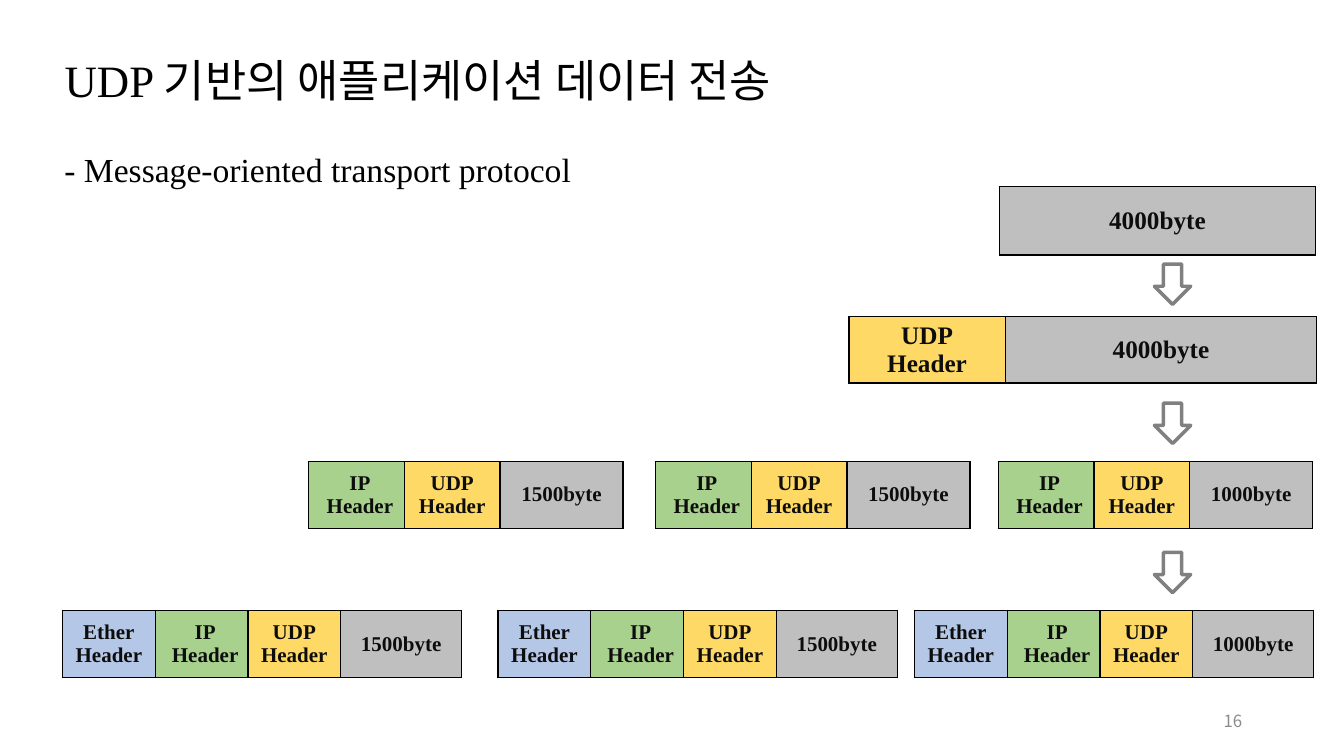
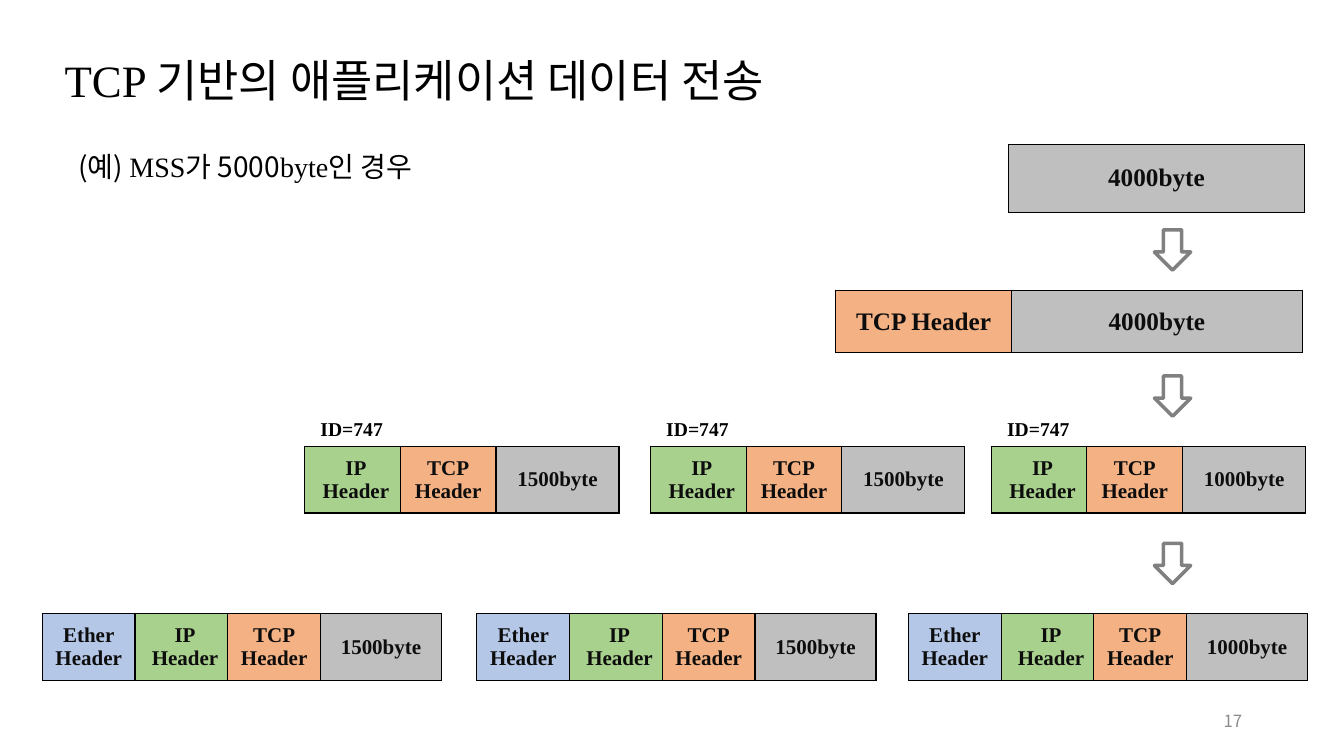
from dataclasses import dataclass
from lxml import etree
from pptx import Presentation
from pptx.dml.color import RGBColor
from pptx.enum.shapes import MSO_SHAPE
from pptx.enum.text import MSO_ANCHOR, MSO_AUTO_SIZE, PP_ALIGN
from pptx.oxml.ns import qn
from pptx.util import Inches, Pt

DOWN_ARROW = MSO_SHAPE.DOWN_ARROW
TOP, MIDDLE = MSO_ANCHOR.TOP, MSO_ANCHOR.MIDDLE
LEFT, CENTER, RIGHT = PP_ALIGN.LEFT, PP_ALIGN.CENTER, PP_ALIGN.RIGHT
NO_AUTOFIT = MSO_AUTO_SIZE.NONE
TITLE_ONLY = 5


@dataclass(frozen=True)
class Theme:
    latin: str = "Times New Roman"
    korean: str = "Noto Sans CJK KR"
    ink: str = "000000"
    cell_ink: str = "0D0D0D"
    page_ink: str = "8C8C8C"
    arrow: str = "808080"
    ether: str = "B4C7E7"
    ip: str = "A9D18E"
    udp: str = "FFD966"
    tcp: str = "F4B183"
    data: str = "BFBFBF"
    title_size: int = 32
    subtitle_size: int = 24
    example_size: int = 20
    large_size: int = 18
    small_size: int = 15
    label_size: int = 14
    page_size: int = 12


THEME = Theme()
BLOCK_HEIGHT = 0.66
PACKET_WIDTHS = (0.95, 1.22)  # each header, data
FRAME_WIDTHS = (0.92, 1.2)
ARROW_LEFT, ARROW_WIDTH, ARROW_HEIGHT = 11.45, 0.36, 0.4
TEXT_LEFT, TEXT_TOP = 0.54, 1.43
PAYLOADS = ("1500byte", "1500byte", "1000byte")


def inches(*lengths):
    return [Inches(length) for length in lengths]


def style_run(run, font_name, size, color, bold=False):
    font = run.font
    font.name, font.size, font.bold = font_name, Pt(size), bold
    font.color.rgb = RGBColor.from_string(color)
    east_asian = etree.SubElement(run._r.get_or_add_rPr(), qn("a:ea"))
    east_asian.set("typeface", THEME.korean)


def fill_text(text_frame, pieces, size, color=THEME.ink, bold=False,
              align=LEFT, anchor=TOP):
    """Write (text, font) pieces as the runs of one paragraph."""
    text_frame.word_wrap = True
    text_frame.auto_size = NO_AUTOFIT
    text_frame.vertical_anchor = anchor
    paragraph = text_frame.paragraphs[0]
    paragraph.alignment = align
    for text, font_name in pieces:
        run = paragraph.add_run()
        run.text = text
        style_run(run, font_name, size, color, bold)


def add_text(slide, box, pieces, size, **style):
    shape = slide.shapes.add_textbox(*inches(*box))
    fill_text(shape.text_frame, pieces, size, **style)


def add_titled_slide(presentation, protocol, page):
    slide = presentation.slides.add_slide(presentation.slide_layouts[TITLE_ONLY])
    title = slide.shapes.title
    title.left, title.top, title.width, title.height = inches(TEXT_LEFT, 0.47, 7.82, 0.64)
    pieces = [(protocol + " ", THEME.latin),
              ("기반의 애플리케이션 데이터 전송", THEME.korean)]
    fill_text(title.text_frame, pieces, THEME.title_size)
    add_text(slide, (9.42, 6.95, 3, 0.4), [(str(page), THEME.korean)],
             THEME.page_size, color=THEME.page_ink, align=RIGHT, anchor=MIDDLE)
    return slide


def add_cell_borders(cell):
    properties = cell._tc.get_or_add_tcPr()
    for side in ("a:lnL", "a:lnR", "a:lnT", "a:lnB"):
        line = etree.SubElement(properties, qn(side), w=str(Pt(1)))
        fill = etree.SubElement(line, qn("a:solidFill"))
        etree.SubElement(fill, qn("a:srgbClr"), val=THEME.ink)


def add_block(slide, left, top, fields, widths, size, height=BLOCK_HEIGHT):
    """Draw a data unit as a one-row table of (text, colour) fields."""
    frame = slide.shapes.add_table(
        1, len(fields), *inches(left, top, sum(widths), height))
    table = frame.table
    table.first_row = table.horz_banding = False
    for column, (text, color) in enumerate(fields):
        table.columns[column].width = Inches(widths[column])
        cell = table.cell(0, column)
        add_cell_borders(cell)
        cell.fill.solid()
        cell.fill.fore_color.rgb = RGBColor.from_string(color)
        cell.vertical_anchor = MIDDLE
        cell.margin_top = cell.margin_bottom = Inches(0.03)
        if color == THEME.ip:  # IP text sits slightly right of centre
            cell.margin_left, cell.margin_right = inches(0.13, 0.06)
        cell.text = text
        for paragraph in cell.text_frame.paragraphs:
            paragraph.alignment = CENTER
            for run in paragraph.runs:
                style_run(run, THEME.latin, size, THEME.cell_ink, bold=True)


def add_block_row(slide, lefts, top, headers, widths):
    """Draw the three fragments, each with the same headers."""
    header_width, data_width = widths
    columns = [header_width] * len(headers) + [data_width]
    for left, payload in zip(lefts, PAYLOADS):
        add_block(slide, left, top, headers + [(payload, THEME.data)],
                  columns, THEME.small_size)


def add_arrows(slide, tops):
    for top in tops:
        arrow = slide.shapes.add_shape(
            DOWN_ARROW, *inches(ARROW_LEFT, top, ARROW_WIDTH, ARROW_HEIGHT))
        arrow.shadow.inherit = False
        arrow.fill.background()
        arrow.line.color.rgb = RGBColor.from_string(THEME.arrow)
        arrow.line.width = Pt(2.5)


def add_encapsulation(slide, transport, message, segment, packets, frames):
    """Draw the message, the segment, its packets and their frames."""
    ether = ("Ether\nHeader", THEME.ether)
    ip = ("IP\nHeader", THEME.ip)
    payload = ("4000byte", THEME.data)

    left, top, width = message
    add_block(slide, left, top, [payload], [width], THEME.large_size, 0.68)
    left, top, widths, height, label = segment
    add_block(slide, left, top, [(label, transport[1]), payload], widths,
              THEME.large_size, height)
    add_block_row(slide, *packets, [ip, transport], PACKET_WIDTHS)
    add_block_row(slide, *frames, [ether, ip, transport], FRAME_WIDTHS)


def build_udp_slide(presentation):
    slide = add_titled_slide(presentation, "UDP", 16)
    add_text(slide, (TEXT_LEFT, TEXT_TOP, 6, 0.5),
             [("- Message-oriented transport protocol", THEME.latin)],
             THEME.subtitle_size)
    add_encapsulation(
        slide, ("UDP\nHeader", THEME.udp),
        message=(9.91, 1.85, 3.14),
        segment=(8.42, 3.14, (1.55, 3.09), BLOCK_HEIGHT, "UDP\nHeader"),
        packets=((3.06, 6.5, 9.9), 4.58),
        frames=((0.62, 4.94, 9.07), 6.06))
    add_arrows(slide, (2.62, 4, 5.48))


def build_tcp_slide(presentation):
    slide = add_titled_slide(presentation, "TCP", 17)
    example = [("(예) ", THEME.korean), ("MSS", THEME.latin),
               ("가 5000", THEME.korean), ("byte", THEME.latin),
               ("인 경우", THEME.korean)]
    add_text(slide, (0.68, TEXT_TOP, 3.74, 0.78), example, THEME.example_size)
    packet_lefts, packet_top = (3.02, 6.45, 9.83), 4.43
    add_encapsulation(
        slide, ("TCP\nHeader", THEME.tcp),
        message=(10, 1.43, 2.94),
        segment=(8.29, 2.88, (1.74, 2.89), 0.62, "TCP Header"),
        packets=(packet_lefts, packet_top),
        frames=((0.42, 4.73, 9.01), 6.09))
    # Fragments of one datagram share an identifier
    for left in packet_lefts:
        add_text(slide, (left + 0.06, packet_top - 0.34, 0.9, 0.34),
                 [("ID=747", THEME.latin)], THEME.label_size, bold=True)
    add_arrows(slide, (2.28, 3.73, 5.39))


def main():
    presentation = Presentation()
    presentation.slide_width, presentation.slide_height = inches(13.33, 7.5)
    build_udp_slide(presentation)
    build_tcp_slide(presentation)
    presentation.save("out.pptx")


if __name__ == "__main__":
    main()
